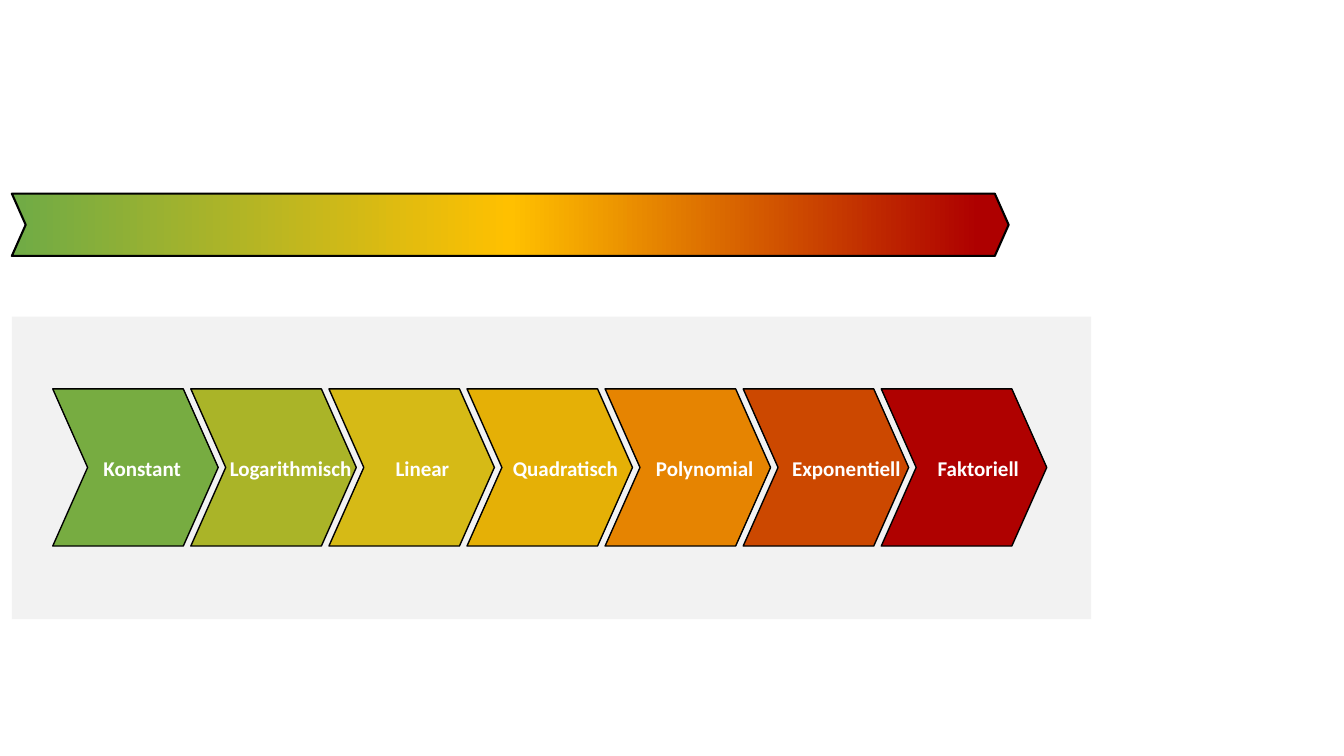
import copy
from dataclasses import dataclass

import pptx
import pptx.dml.color
import pptx.enum.shapes
import pptx.enum.text
import pptx.util
from pptx.util import Cm

CHEVRON = pptx.enum.shapes.MSO_SHAPE.CHEVRON
RECTANGLE = pptx.enum.shapes.MSO_SHAPE.RECTANGLE
POINT_DEPTH = 0.222
STAGE_LEFT, STAGE_TOP, STAGE_WIDTH, STAGE_HEIGHT = 1.33, 9.8, 4.17, 3.96
STAGE_PITCH = 3.48
LABEL_TOP, LABEL_HEIGHT = 11.35, 0.89


@dataclass
class Stage:
    name: str
    fill: str
    label_left: float
    label_width: float
    wrap: bool = True


STAGES = [
    Stage("Konstant", "77AC41", 1.78, 3.61),
    Stage("Logarithmisch", "AAB428", 5.51, 3.63),
    Stage("Linear", "D6BA16", 9.07, 3.15),
    Stage("Quadratisch", "E5B006", 12.6, 3.3),
    Stage("Polynomial", "E68401", 16.26, 3.0, wrap=False),
    Stage("Exponentiell", "CC4800", 19.69, 3.28, wrap=False),
    Stage("Faktoriell", "AF0100", 22.99, 3.33),
]
SCALE_STOPS = [(0, "6FAB46"), (0.5, "FFC000"), (0.97, "AE0000")]


def color(value: str) -> pptx.dml.color.RGBColor:
    return pptx.dml.color.RGBColor.from_string(value)


def add_box(slide, kind, left: float, top: float, width: float, height: float, fill: str):
    box = slide.shapes.add_shape(kind, Cm(left), Cm(top), Cm(width), Cm(height))
    box.shadow.inherit = False
    box.fill.solid()
    box.fill.fore_color.rgb = color(fill)
    box.line.fill.background()
    return box


def add_chevron(slide, left: float, top: float, width: float, height: float,
                fill: str, line_width: float):
    chevron = add_box(slide, CHEVRON, left, top, width, height, fill)
    chevron.adjustments[0] = POINT_DEPTH
    chevron.line.color.rgb = color("000000")
    chevron.line.width = pptx.util.Pt(line_width)
    return chevron


def set_gradient(shape, stops: list[tuple[float, str]]) -> None:
    shape.fill.gradient()
    shape.fill.gradient_angle = 0
    # The default gradient has two stops; add a third
    stop_list = shape.fill._fill._gradFill.gsLst
    stop_list.append(copy.deepcopy(stop_list[-1]))
    for stop, (position, value) in zip(shape.fill.gradient_stops, stops):
        stop.position = position
        stop.color.rgb = color(value)


def add_label(slide, stage: Stage) -> None:
    label = slide.shapes.add_textbox(
        Cm(stage.label_left), Cm(LABEL_TOP), Cm(stage.label_width), Cm(LABEL_HEIGHT))
    frame = label.text_frame
    frame.text = stage.name
    frame.word_wrap = stage.wrap
    frame.auto_size = pptx.enum.text.MSO_AUTO_SIZE.SHAPE_TO_FIT_TEXT
    paragraph = frame.paragraphs[0]
    paragraph.alignment = pptx.enum.text.PP_ALIGN.CENTER
    font = paragraph.runs[0].font
    font.name = "Calibri"
    font.size = pptx.util.Pt(15)
    font.bold = True
    font.color.rgb = color("FFFFFF")


def main() -> None:
    presentation = pptx.Presentation()
    presentation.slide_width = Cm(33.87)
    presentation.slide_height = Cm(19.05)
    slide = presentation.slides.add_slide(presentation.slide_layouts[6])

    # Grey panel with the growth classes
    add_box(slide, RECTANGLE, 0.3, 7.98, 27.2, 7.62, "F2F2F2")
    for index, stage in enumerate(STAGES):
        add_chevron(slide, STAGE_LEFT + index * STAGE_PITCH, STAGE_TOP,
                    STAGE_WIDTH, STAGE_HEIGHT, stage.fill, 1)
    for stage in STAGES:
        add_label(slide, stage)

    # Colour scale above the panel
    scale = add_chevron(slide, 0.3, 4.88, 25.12, 1.57, SCALE_STOPS[0][1], 1.5)
    set_gradient(scale, SCALE_STOPS)

    presentation.save("out.pptx")


if __name__ == "__main__":
    main()
